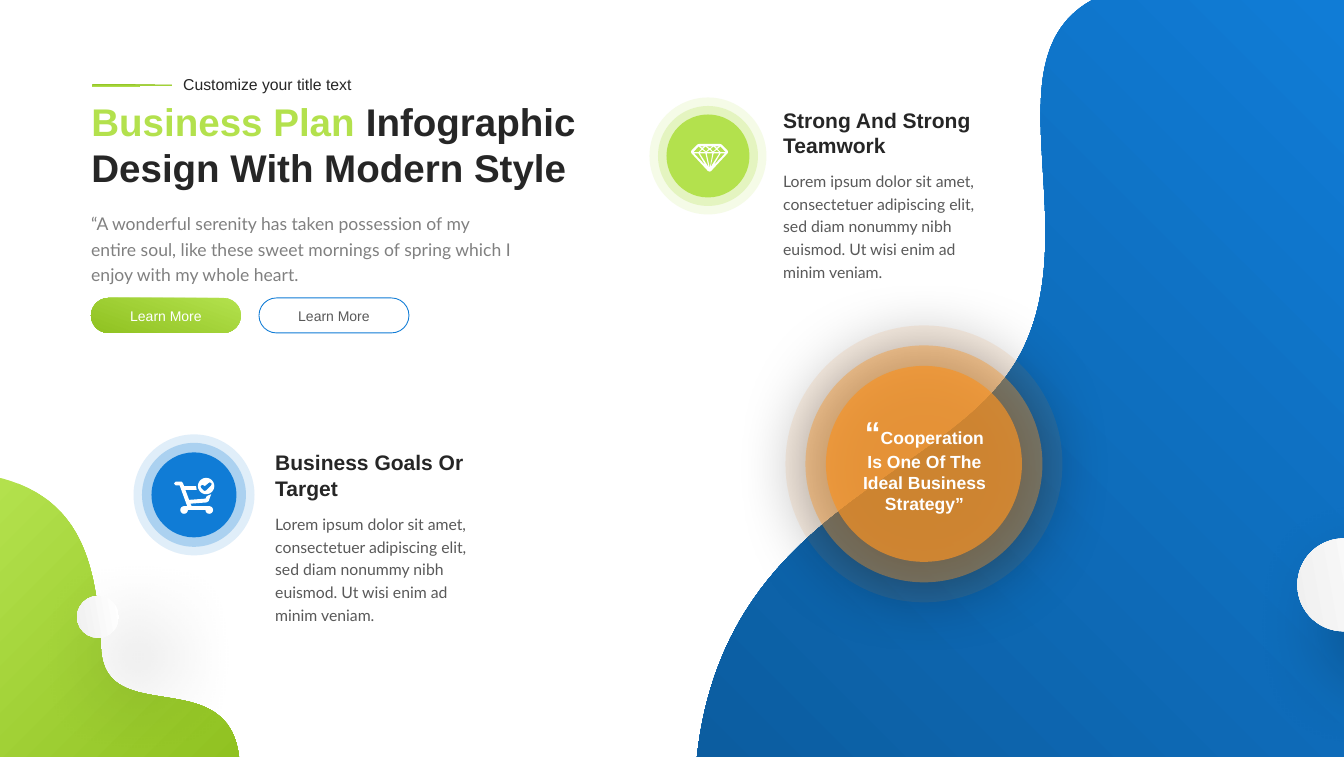
"""Build the business plan infographic slide."""
import math

import pptx
import pptx.dml.color
import pptx.enum.shapes
import pptx.enum.text
import pptx.oxml
import pptx.oxml.ns
import pptx.util

EMU_PER_PIXEL = 914400 / 63.1
ICON_UNIT = 0.63
GREEN, DEEP_GREEN = "B3E14D", "90C221"
BLUE, DEEP_BLUE = "107CD6", "0C5DA0"
ORANGE, WHITE, PALE = "F69326", "FFFFFF", "F0F0F0"
INK, GRAY, QUOTE_GRAY = "262626", "595959", "808080"
LEFT = pptx.enum.text.PP_ALIGN.LEFT
CENTER = pptx.enum.text.PP_ALIGN.CENTER
LOREM = ("Lorem ipsum dolor sit amet, consectetuer adipiscing elit, sed diam "
         "nonummy nibh euismod. Ut wisi enim ad minim veniam.")


def emu(pixels):
    """Turn pixels into EMU."""
    return pptx.util.Emu(round(pixels * EMU_PER_PIXEL))


def color(value):
    """Return the RGB colour of a hex string."""
    return pptx.dml.color.RGBColor.from_string(value)


def paint(shape, fill, opacity=100, line=None):
    """Give a shape a plain fill and an optional thin outline."""
    shape.shadow.inherit = False
    shape.fill.solid()
    shape.fill.fore_color.rgb = color(fill)
    if opacity < 100:
        element = shape._element.spPr.find(".//" + pptx.oxml.ns.qn("a:srgbClr"))
        alpha = pptx.oxml.ns.qn("a:alpha")
        element.makeelement(alpha, {})
        element.append(element.makeelement(alpha, {"val": str(opacity * 1000)}))
    if line:
        shape.line.color.rgb = color(line)
        shape.line.width = pptx.util.Pt(1)
    else:
        shape.line.fill.background()


def paint_gradient(shape, first, last, angle):
    """Give a shape a two-colour gradient at a clockwise angle."""
    paint(shape, first)
    shape.fill.gradient()
    shape.fill.gradient_angle = 360 - angle
    for stop, position, value in zip(shape.fill.gradient_stops, (0, 1), (first, last)):
        stop.position = position
        stop.color.rgb = color(value)


def add_shadow(shape, blur, distance, angle):
    """Add a soft black outer shadow, with lengths in points."""
    effects = shape._element.spPr.find(pptx.oxml.ns.qn("a:effectLst"))
    effects.append(pptx.oxml.parse_xml(
        f'<a:outerShdw {pptx.oxml.ns.nsdecls("a")} blurRad="{blur * 12700}" '
        f'dist="{distance * 12700}" dir="{angle * 60000}" algn="ctr" rotWithShape="0">'
        '<a:srgbClr val="000000"><a:alpha val="40000"/></a:srgbClr></a:outerShdw>'))


def add_circle(slide, center, diameter):
    """Add a circle around a centre point."""
    left, top = (emu(value - diameter / 2) for value in center)
    size = emu(diameter)
    return slide.shapes.add_shape(
        pptx.enum.shapes.MSO_SHAPE.OVAL, left, top, size, size)


def add_rings(slide, center, value, diameters, opacities):
    """Add concentric circles from the widest to the narrowest."""
    circles = []
    for diameter, opacity in zip(diameters, opacities):
        circle = add_circle(slide, center, diameter)
        paint(circle, value, opacity)
        circles.append(circle)
    return circles


def add_ball(slide, center, diameter):
    """Add a white ball with a wide shadow."""
    ball = add_circle(slide, center, diameter)
    paint_gradient(ball, WHITE, PALE, 170)
    add_shadow(ball, 100, 64, 45)


def bezier(start, control_one, control_two, end, steps=60):
    """Return points along a cubic curve."""
    points = []
    for step in range(steps + 1):
        t = step / steps
        weights = ((1 - t) ** 3, 3 * t * (1 - t) ** 2, 3 * t * t * (1 - t), t ** 3)
        points.append(tuple(
            sum(weight * value for weight, value in zip(weights, axis))
            for axis in zip(start, control_one, control_two, end)))
    return points


def arc(center, radius, start, end, steps=24):
    """Return points along a circular arc, with angles in degrees."""
    angles = [math.radians(start + (end - start) * step / steps) for step in range(steps + 1)]
    return [(center[0] + radius * math.cos(angle), center[1] + radius * math.sin(angle))
            for angle in angles]


def add_outline(slide, contours, origin=(0, 0), unit=1):
    """Add one freeform made of closed contours."""
    placed = [[(emu(origin[0] + x * unit), emu(origin[1] + y * unit)) for x, y in contour]
              for contour in contours]
    builder = slide.shapes.build_freeform(*placed[0][0], scale=1.0)
    for index, contour in enumerate(placed):
        if index:
            builder.move_to(*contour[0])
        builder.add_line_segments(contour[1:], close=True)
    return builder.convert_to_shape()


def add_diamond(slide, origin):
    """Add the white diamond icon."""
    half = [
        [(12, 4), (17, 8), (12, 13), (4, 13)], [(23, 34), (5, 15), (12, 15)],
        [(23, 15), (28, 37), (14, 15)], [(18, 9), (23, 13), (14, 13)],
        [(18, 6), (14, 4), (21, 4)], [(24, 12), (19, 8), (23, 4), (28, 8)]]
    mirrored = [[(59 - x, y) for x, y in facet] for facet in half]
    middle = [[(30, 7), (25, 4), (34, 4)], [(34, 15), (30, 38), (25, 15)],
              [(34, 13), (25, 13), (30, 9)]]
    edge = [(13, 0), (46, 0), (49, 1), (58, 10), (59, 13), (58, 15), (32, 43),
            (30, 44), (27, 43), (1, 15), (0, 13), (1, 10), (10, 1)]
    paint(add_outline(slide, [edge] + half + mirrored + middle, origin, ICON_UNIT), WHITE)


def add_cart(slide, origin):
    """Add the white shopping cart icon with its check mark."""
    badge = arc((51, 13), 13, 0, 360)
    check = [(57, 7), (55, 8), (49, 13), (47, 12), (45, 11), (42, 13), (43, 16),
             (47, 20), (49, 21), (51, 20), (59, 12), (60, 9)]
    cart = ([(24, 35), (50, 33), (52, 29), (59, 26), (55, 37), (52, 39), (26, 41),
             (28, 45)] + arc((56, 51), 6, -90, 180) + arc((16, 51), 6, 0, 270)
            + [(21, 45), (9, 12), (3, 12), (0, 9), (3, 6), (12, 6), (14, 8),
               (16, 13), (35, 13), (36, 19), (18, 19)])
    paint(add_outline(slide, [badge, check, cart], origin, ICON_UNIT), WHITE)


def write(shape, runs, align=LEFT, font="Arial", bold=False, spacing=None, middle=False):
    """Write one paragraph of (text, size, colour) runs."""
    frame = shape.text_frame
    frame.word_wrap = True
    anchor = pptx.enum.text.MSO_ANCHOR
    frame.vertical_anchor = anchor.MIDDLE if middle else anchor.TOP
    paragraph = frame.paragraphs[0]
    paragraph.alignment = align
    if spacing:
        paragraph.line_spacing = spacing
    for text, size, value in runs:
        run = paragraph.add_run()
        run.text = text
        run.font.name, run.font.size, run.font.bold = font, pptx.util.Pt(size), bold
        run.font.color.rgb = color(value)


def add_text(slide, box, runs, **style):
    """Add a wrapped text box."""
    write(slide.shapes.add_textbox(*map(emu, box)), runs, **style)


def add_title(slide, box, runs):
    """Place and write the title placeholder."""
    title = slide.shapes.title
    title.left, title.top, title.width, title.height = map(emu, box)
    title.text_frame.auto_size = pptx.enum.text.MSO_AUTO_SIZE.NONE
    write(title, runs, bold=True)


def add_button(slide, left, value):
    """Add a pill-shaped button."""
    button = slide.shapes.add_shape(
        pptx.enum.shapes.MSO_SHAPE.ROUNDED_RECTANGLE, *map(emu, (left, 298, 150, 35)))
    button.adjustments[0] = 0.5
    paint(button, WHITE, line=BLUE)
    write(button, [("Learn More", 16, value)], align=CENTER, middle=True)
    return button


def add_point(slide, left, top, heading):
    """Add a heading with its paragraph below."""
    add_text(slide, (left, top, 233, 57), [(heading, 24, INK)], bold=True)
    add_text(slide, (left, top + 61, 211, 119), [(LOREM, 18, GRAY)], font="Lato", spacing=1.2)


def main():
    """Build and save the presentation."""
    presentation = pptx.Presentation()
    presentation.slide_width = pptx.util.Inches(21.3)
    presentation.slide_height = pptx.util.Inches(12)
    slide = presentation.slides.add_slide(presentation.slide_layouts[5])

    blue_wave = (bezier((1094, -1), (986, 56), (1087, 227), (1021, 353))
                 + bezier((1021, 353), (955, 480), (725, 502), (697, 757))
                 + [(1344, 757), (1344, 0)])
    paint_gradient(add_outline(slide, [blue_wave]), BLUE, DEEP_BLUE, 135)
    green_wave = (bezier((0, 478), (84, 500), (97, 569), (101, 649))
                  + bezier((101, 649), (105, 729), (228, 663), (239, 757)) + [(0, 757)])
    paint_gradient(add_outline(slide, [green_wave]), GREEN, DEEP_GREEN, 45)
    add_ball(slide, (1344, 585), 93)
    add_ball(slide, (98, 617), 42)

    accent = [(93, 84), (172, 85), (172, 86), (140, 86), (138, 87), (93, 87), (92, 86)]
    paint_gradient(add_outline(slide, [accent]), DEEP_GREEN, GREEN, 90)
    add_text(slide, (177, 72, 232, 25), [("Customize your title text", 18, INK)])
    add_title(slide, (85, 95, 520, 100), [
        ("Business Plan", 44, GREEN), (" Infographic Design With Modern Style", 44, INK)])
    add_text(slide, (85, 206, 439, 81), [(
        "“A wonderful serenity has taken possession of my entire soul, like these "
        "sweet mornings of spring which I enjoy with my whole heart.", 20, QUOTE_GRAY)],
        font="Lato", spacing=1.2)
    filled_button = add_button(slide, 91, WHITE)
    paint_gradient(filled_button, GREEN, DEEP_GREEN, 110)
    add_button(slide, 259, GRAY)

    quote_rings = add_rings(slide, (924, 464), ORANGE, (277, 237, 196), (10, 40, 70))
    add_shadow(quote_rings[1], 84, 4, 90)
    add_text(slide, (851, 410, 147, 109), [
        ("“", 36, WHITE), ("Cooperation Is One Of The Ideal Business Strategy”", 20, WHITE)],
        align=CENTER, bold=True)

    add_rings(slide, (194, 495), BLUE, (121, 104, 85), (13, 25, 100))
    add_cart(slide, (174, 478))
    add_point(slide, 269, 447, "Business Goals Or Target")
    add_rings(slide, (708, 156), GREEN, (117, 100, 83), (13, 25, 100))
    add_diamond(slide, (691, 144))
    add_point(slide, 777, 104, "Strong And Strong Teamwork")
    presentation.save("out.pptx")


if __name__ == "__main__":
    main()
